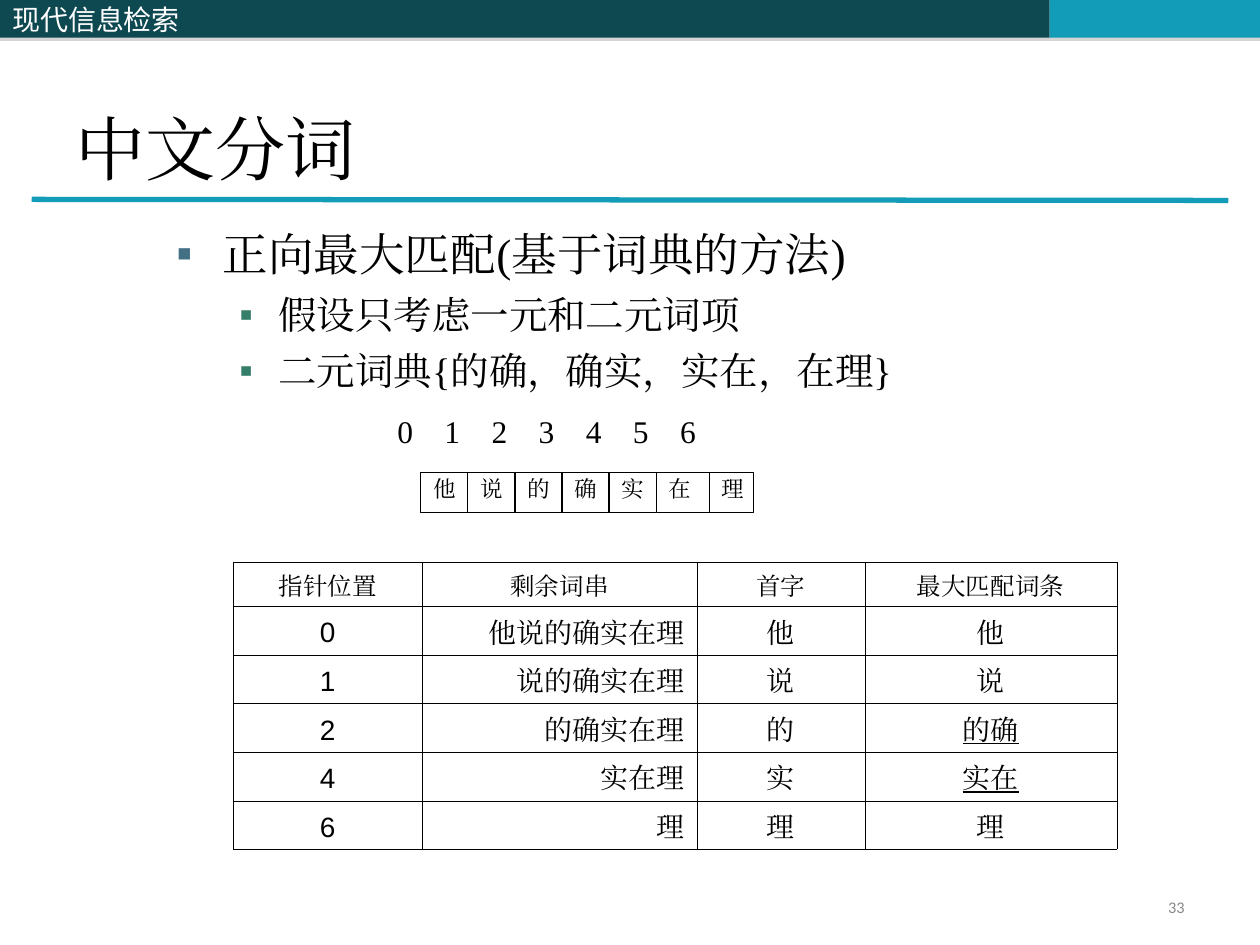
from lxml import etree
from pptx import Presentation
from pptx import util as u
from pptx.dml.color import RGBColor
from pptx.enum import shapes, text
from pptx.oxml import ns

COLORS = {
    "dark": "0E4851", "accent": "139CB7", "black": "000000", "white": "FFFFFF",
    "shadow": "808080", "number": "898989", "bullet1": "437085", "bullet2": "357E69",
}
SERIF, SANS = "Times New Roman", "Arial"
AL, ANCHOR = text.PP_ALIGN, text.MSO_ANCHOR


def rgb(name):
    return RGBColor.from_string(COLORS[name])


def child(parent, tag, **attrs):
    return etree.SubElement(parent, ns.qn(tag), {k: str(v) for k, v in attrs.items()})


class Deck:
    def __init__(self, width, height):
        self.prs = Presentation()
        self.prs.slide_width, self.prs.slide_height = u.Cm(width), u.Cm(height)
        self.s = self.prs.slides.add_slide(self.prs.slide_layouts[1])

    def run(self, p, words, size, font=SERIF, color="black", underline=None):
        r = p.add_run()
        r.text = words
        r.font.size, r.font.name = u.Pt(size), font
        r.font.color.rgb = rgb(color)
        r.font.underline = underline
        child(r.font._element, "a:ea", typeface=font)

    def place(self, sp, box):
        sp.left, sp.top, sp.width, sp.height = (u.Cm(v) for v in box)

    def rect(self, box, fill, line=None):
        sp = self.s.shapes.add_shape(shapes.MSO_SHAPE.RECTANGLE, *(u.Cm(v) for v in box))
        sp.shadow.inherit = False
        sp.fill.solid()
        sp.fill.fore_color.rgb = rgb(fill)
        if line:
            sp.line.color.rgb = rgb(line)
            sp.line.width = u.Pt(0.75)
        else:
            sp.line.fill.background()
        return sp

    def bar(self, left, width, fill):
        sp = self.rect((left, 0, width, 0.76), fill)
        effects = sp._element.spPr.find(ns.qn("a:effectLst"))
        shadow = child(effects, "a:outerShdw", blurRad=0, dist=u.Pt(1.8), dir=5400000)
        color = child(shadow, "a:srgbClr", val=COLORS["shadow"])
        child(color, "a:alpha", val=32000)
        return sp

    def rule(self, x1, y1, x2, y2):
        c = self.s.shapes.add_connector(
            shapes.MSO_CONNECTOR.STRAIGHT, u.Cm(x1), u.Cm(y1), u.Cm(x2), u.Cm(y2))
        c.line.color.rgb = rgb("accent")
        c.line.width = u.Pt(3)
        child(c._element.spPr, "a:effectLst")

    def title(self, box, words):
        sp = self.s.shapes.title
        self.place(sp, box)
        tf = sp.text_frame
        tf.auto_size = text.MSO_AUTO_SIZE.NONE
        tf.vertical_anchor = ANCHOR.BOTTOM
        p = tf.paragraphs[0]
        p.alignment = AL.LEFT
        self.run(p, words, 40)

    def bullets(self, box, items):
        sp = self.s.placeholders[1]
        self.place(sp, box)
        tf = sp.text_frame
        tf.auto_size = text.MSO_AUTO_SIZE.NONE
        styles = [(26, 0.94, -0.94, "bullet1"), (22, 2.06, -0.79, "bullet2")]
        for i, (level, words) in enumerate(items):
            p = tf.add_paragraph() if i else tf.paragraphs[0]
            size, margin, indent, color = styles[level]
            p.level = level
            pPr = p._p.get_or_add_pPr()
            pPr.set("marL", str(u.Cm(margin)))
            pPr.set("indent", str(u.Cm(indent)))
            child(child(pPr, "a:buClr"), "a:srgbClr", val=COLORS[color])
            child(pPr, "a:buFont", typeface=SANS)
            child(pPr, "a:buChar", char="▪")
            p.space_before = u.Pt(6 if i else 0)
            self.run(p, words, size)

    def textbox(self, box):
        tf = self.s.shapes.add_textbox(*(u.Cm(v) for v in box)).text_frame
        tf.word_wrap = True
        tf.vertical_anchor = ANCHOR.MIDDLE
        return tf

    def header(self, sp, words):
        p = sp.text_frame.paragraphs[0]
        p.alignment = AL.LEFT
        self.run(p, words, 16, "Noto Sans CJK SC", "white")

    def page_number(self, box, words):
        p = self.textbox(box).paragraphs[0]
        p.alignment, p.line_spacing = AL.RIGHT, 0.8
        self.run(p, words, 9.3, "Calibri", "number")

    def positions(self, box, count, step):
        p = self.textbox(box).paragraphs[0]
        tabs = child(p._p.get_or_add_pPr(), "a:tabLst")
        for i in range(1, count):
            child(tabs, "a:tab", pos=u.Cm(i * step), algn="l")
        self.run(p, "\t".join(str(i) for i in range(count)), 18)

    def character(self, box, word):
        tf = self.rect(box, "white", "black").text_frame
        tf.word_wrap = True
        tf.vertical_anchor = ANCHOR.TOP
        p = tf.paragraphs[0]
        p.alignment, p.line_spacing = AL.JUSTIFY, 0.9
        self.run(p, word, 12.9)

    def cell(self, cell, words, size, font, align):
        cell.fill.background()
        cell.vertical_anchor = ANCHOR.BOTTOM
        p = cell.text_frame.paragraphs[0]
        p.alignment = align
        p.line_spacing = 0.89 if font == SANS else 0.87
        self.run(p, words, size, font, underline=words in ("的确", "实在") or None)
        tcPr = cell._tc.get_or_add_tcPr()
        for i, side in enumerate(("a:lnL", "a:lnR", "a:lnT", "a:lnB")):
            ln = etree.Element(ns.qn(side), {"w": str(u.Pt(0.11))})
            child(child(ln, "a:solidFill"), "a:srgbClr", val=COLORS["black"])
            tcPr.insert(i, ln)

    def table(self, left, top, widths, heights, rows):
        frame = self.s.shapes.add_table(
            len(rows), len(widths), u.Cm(left), u.Cm(top),
            u.Cm(sum(widths)), u.Cm(sum(heights)))
        tbl = frame.table
        tbl.first_row = tbl.horz_banding = False
        for column, width in zip(tbl.columns, widths):
            column.width = u.Cm(width)
        for i, (row, height) in enumerate(zip(rows, heights)):
            tbl.rows[i].height = u.Cm(height)
            for j, words in enumerate(row):
                font = SANS if i and j == 0 else SERIF
                align = AL.RIGHT if i and j == 1 else AL.CENTER
                self.cell(tbl.cell(i, j), words, 16 if i else 14, font, align)


def main():
    sentence = "他说的确实在理"
    matches = [(0, "他"), (1, "说"), (2, "的确"), (4, "实在"), (6, "理")]
    rows = [("指针位置", "剩余词串", "首字", "最大匹配词条")]
    rows += [(str(i), sentence[i:], sentence[i], word) for i, word in matches]

    d = Deck(25.4, 19.05)
    d.bar(10.36, 10.8, "dark")
    d.bar(21.16, 4.24, "accent")
    d.rule(0.64, 4.02, 24.76, 4.04)
    d.header(d.bar(0, 10.36, "dark"), "现代信息检索")
    d.title((1.27, 0.76, 22.86, 3.18), "中文分词")
    d.bullets((3.3, 4.42, 21.59, 11.15), [
        (0, "正向最大匹配(基于词典的方法)"),
        (1, "假设只考虑一元和二元词项"),
        (1, "二元词典{的确，确实，实在，在理}"),
    ])
    d.page_number((18.21, 17.98, 5.92, 0.69), "33")
    d.positions((7.76, 7.77, 8.75, 1.83), len(sentence), 0.95)
    d.table(4.7, 11.33, [3.81, 5.54, 3.38, 5.08], [0.89] + [0.98] * 5, rows)
    for i, word in enumerate(sentence[:-1]):
        d.character((8.48 + i * 0.95, 9.52, 1.7, 0.82), word)
    d.character((14.3, 9.52, 0.89, 0.82), sentence[-1])
    d.prs.save("out.pptx")


if __name__ == "__main__":
    main()
